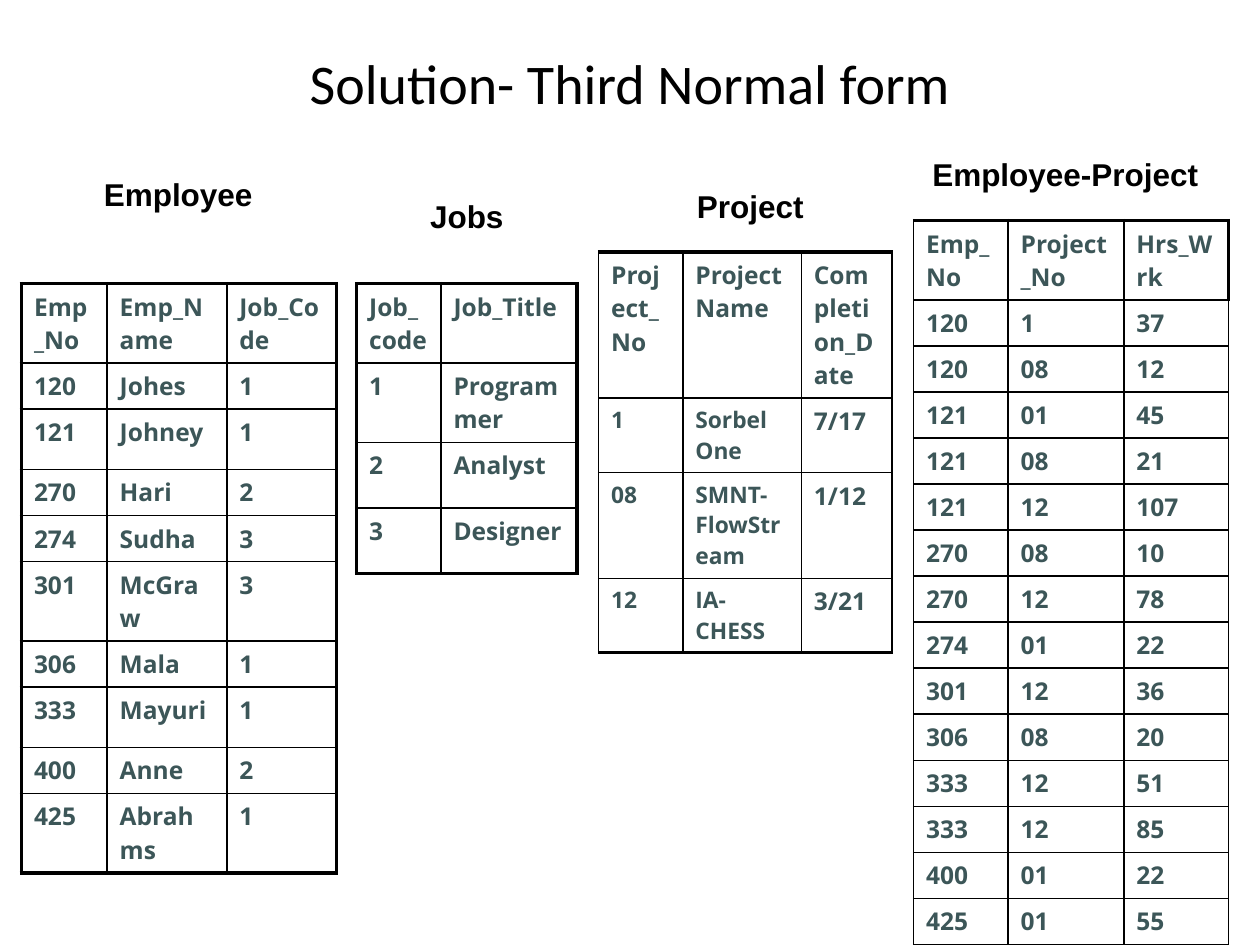
from lxml import etree
from pptx import Presentation
from pptx.dml.color import RGBColor
from pptx.enum.text import MSO_ANCHOR, PP_ALIGN
from pptx.oxml.ns import qn
from pptx.util import Inches, Pt

MIDDLE = MSO_ANCHOR.MIDDLE
CENTER = PP_ALIGN.CENTER
BLACK = "000000"
TEAL = "3C5658"
THIN, THICK = 1, 2.25
TITLE_ONLY = 5


def style_text(frame, font, size, color, bold):
    """Format every run of a text frame."""
    for paragraph in frame.paragraphs:
        for run in paragraph.runs:
            run.font.name = font
            run.font.size = Pt(size)
            run.font.bold = bold
            run.font.color.rgb = RGBColor.from_string(color)


def set_borders(cell, widths):
    """Draw the left, right, top and bottom borders, widths in points."""
    properties = cell._tc.get_or_add_tcPr()
    for index, (side, width) in enumerate(zip("LRTB", widths)):
        line = etree.Element(qn(f"a:ln{side}"), w=str(Pt(width)))
        fill = etree.SubElement(line, qn("a:solidFill"))
        etree.SubElement(fill, qn("a:srgbClr"), val=BLACK)
        properties.insert(index, line)


# "thick" names the heavy outer edges of the table,
# "header_thick" those of the header row alone.
relations = [
    {
        "name": "Employee", "heading": (0.25, 1.33, 2.33), "at": (0.17, 2.25),
        "columns": [0.68, 0.95, 0.87],
        "heights": [0.63, 0.36, 0.48, 0.36, 0.36, 0.63, 0.36, 0.48, 0.36, 0.63],
        "thick": "LRTB", "header_thick": "", "small_columns": 0,
        "rows": [
            ("Emp_No", "Emp_Name", "Job_Code"),
            ("120", "Johes", "1"), ("121", "Johney", "1"),
            ("270", "Hari", "2"), ("274", "Sudha", "3"),
            ("301", "McGraw", "3"), ("306", "Mala", "1"),
            ("333", "Mayuri", "1"), ("400", "Anne", "2"),
            ("425", "Abrahms", "1"),
        ],
    },
    {
        "name": "Jobs", "heading": (2.83, 1.5, 1.75), "at": (2.83, 2.25),
        "columns": [0.67, 1.08], "heights": [0.63, 0.63, 0.52, 0.52],
        "thick": "LRTB", "header_thick": "", "small_columns": 0,
        "rows": [
            ("Job_code", "Job_Title"), ("1", "Programmer"),
            ("2", "Analyst"), ("3", "Designer"),
        ],
    },
    {
        "name": "Project", "heading": (4.83, 1.42, 2.25), "at": (4.75, 2),
        "columns": [0.67, 0.94, 0.72], "heights": [1.16, 0.59, 0.84, 0.59],
        "thick": "TB", "header_thick": "", "small_columns": 2,
        "rows": [
            ("Project_No", "Project Name", "Completion_Date"),
            ("1", "Sorbel One", "7/17"),
            ("08", "SMNT-FlowStream", "1/12"),
            ("12", "IA-CHESS", "3/21"),
        ],
    },
    {
        "name": "Employee-Project", "heading": (7.08, 1.17, 2.75), "at": (7.25, 1.75),
        "columns": [0.75, 0.92, 0.83], "heights": [0.63] + [0.36] * 14,
        "thick": "T", "header_thick": "R", "small_columns": 0,
        "rows": [
            ("Emp_No", "Project_No", "Hrs_Wrk"),
            ("120", "1", "37"), ("120", "08", "12"), ("121", "01", "45"),
            ("121", "08", "21"), ("121", "12", "107"), ("270", "08", "10"),
            ("270", "12", "78"), ("274", "01", "22"), ("301", "12", "36"),
            ("306", "08", "20"), ("333", "12", "51"), ("333", "12", "85"),
            ("400", "01", "22"), ("425", "01", "55"),
        ],
    },
]

deck = Presentation()
deck.slide_width, deck.slide_height = Inches(10), Inches(7.5)
slide = deck.slides.add_slide(deck.slide_layouts[TITLE_ONLY])

title = slide.shapes.title
title.left, title.top = Inches(0.5), Inches(0.3)
title.width, title.height = Inches(9), Inches(0.7)
title.text_frame.text = "Solution- Third Normal form"
title.text_frame.vertical_anchor = MIDDLE
title.text_frame.paragraphs[0].alignment = CENTER
style_text(title.text_frame, "Calibri", 32, BLACK, False)

for relation in relations:
    columns, heights, rows = relation["columns"], relation["heights"], relation["rows"]
    left, top = relation["at"]
    grid = slide.shapes.add_table(
        len(rows), len(columns), Inches(left), Inches(top),
        Inches(sum(columns)), Inches(sum(heights))).table
    grid.first_row = grid.horz_banding = False
    for column, width in zip(grid.columns, columns):
        column.width = Inches(width)

    last_row, last_column = len(rows) - 1, len(columns) - 1
    for r, values in enumerate(rows):
        grid.rows[r].height = Inches(heights[r])
        thick = relation["thick"]
        if r == 0:
            thick += relation["header_thick"]
        for c, value in enumerate(values):
            cell = grid.cell(r, c)
            cell.text_frame.text = value
            size = 13 if r > 0 and c < relation["small_columns"] else 14
            style_text(cell.text_frame, "Open Sans", size, TEAL, True)
            cell.fill.background()
            outer = (c == 0, c == last_column, r == 0, r == last_row)
            set_borders(cell, [THICK if edge and side in thick else THIN
                               for side, edge in zip("LRTB", outer)])

for relation in relations:
    left, top, width = relation["heading"]
    heading = slide.shapes.add_textbox(
        Inches(left), Inches(top), Inches(width), Inches(0.42)).text_frame
    heading.text = relation["name"]
    heading.word_wrap = False
    heading.vertical_anchor = MIDDLE
    heading.paragraphs[0].alignment = CENTER
    style_text(heading, "Arial", 18, BLACK, True)

deck.save("out.pptx")
